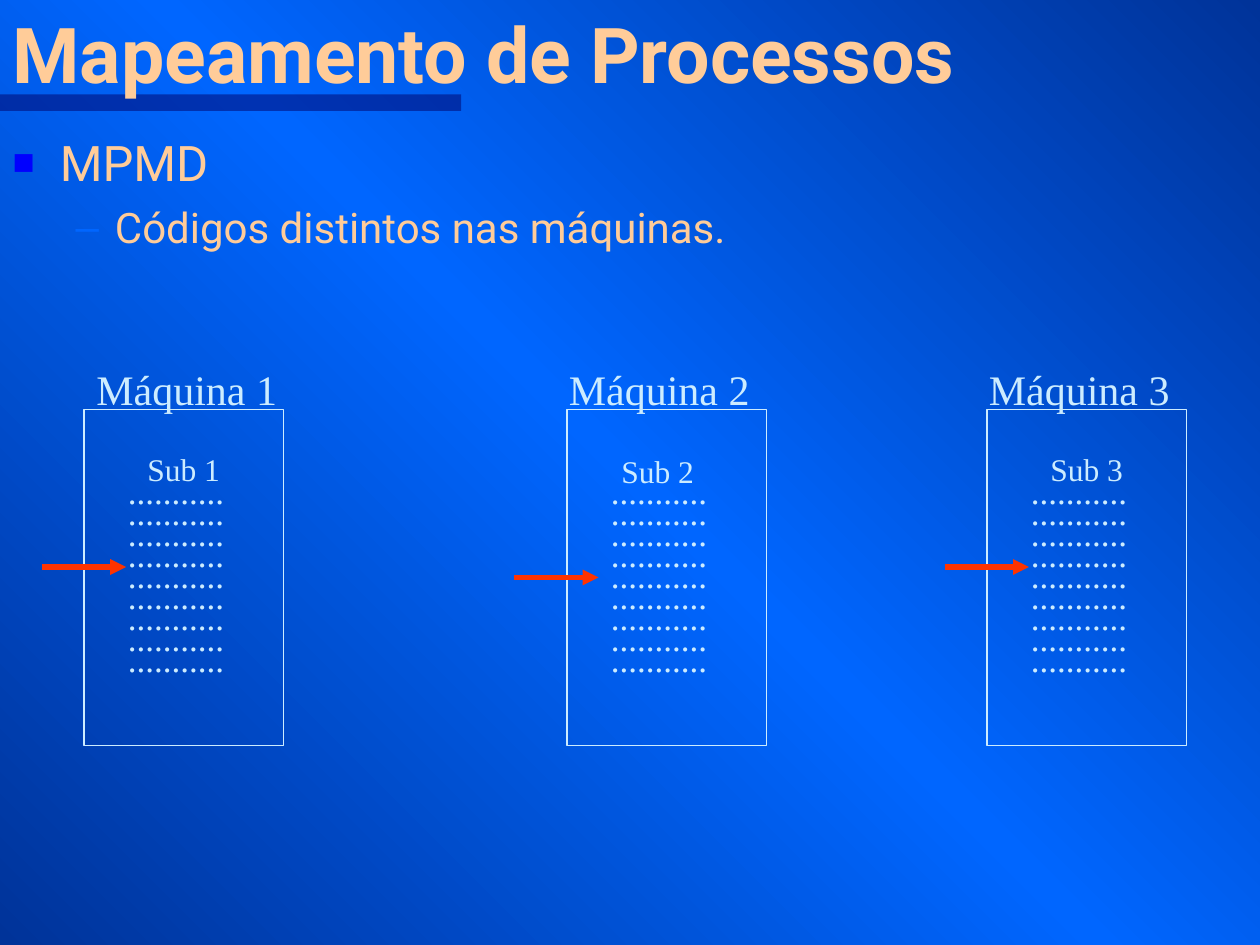
from copy import deepcopy
from pptx import Presentation
from pptx.dml.color import RGBColor
from pptx.enum.shapes import MSO_CONNECTOR, MSO_SHAPE
from pptx.enum.text import MSO_ANCHOR, MSO_AUTO_SIZE, PP_ALIGN
from pptx.oxml.ns import qn
from pptx.util import Pt
from lxml import etree

RECT = MSO_SHAPE.RECTANGLE
LINE = MSO_CONNECTOR.STRAIGHT
LOW, TOP = MSO_ANCHOR.BOTTOM, MSO_ANCHOR.TOP
GROW, FIXED = MSO_AUTO_SIZE.SHAPE_TO_FIT_TEXT, MSO_AUTO_SIZE.NONE
LEFT, MID = PP_ALIGN.LEFT, PP_ALIGN.CENTER

NAVY = RGBColor(0x00, 0x33, 0x99)
AZURE = RGBColor(0x00, 0x66, 0xFF)
BLUE = RGBColor(0x00, 0x00, 0xFF)
INK = RGBColor(0x00, 0x00, 0x66)
PEACH = RGBColor(0xFF, 0xCC, 0x99)
ICE = RGBColor(0xCC, 0xEC, 0xFF)
RED = RGBColor(0xFF, 0x33, 0x00)
SANS, SERIF = "Roboto", "Times New Roman"

TITLE = "Mapeamento de Processos"
ITEMS = [
    dict(text="MPMD", size=28, gap=0, left=27, hang=27,
         mark="■", color=BLUE, scale=75),
    dict(text="Códigos distintos nas máquinas.", size=24, gap=6, left=58.5,
         hang=22.5, mark="–", color=AZURE, scale=100),
]
HOSTS = [
    dict(name="Máquina 1", sub="Sub 1", x=48, name_x=48,
         sub_at=(48, 253.5, 114, 28.8), align=MID, arrow=(24, 324)),
    dict(name="Máquina 2", sub="Sub 2", x=324, name_x=318,
         sub_at=(348, 254.5, 114, 50.4), align=LEFT, arrow=(294, 330)),
    dict(name="Máquina 3", sub="Sub 3", x=564, name_x=558,
         sub_at=(564, 253.5, 114, 28.8), align=MID, arrow=(540, 324)),
]
CODE = ["..........."] * 9


def place(shape, *spot):
    shape.left, shape.top, shape.width, shape.height = map(Pt, spot)


def write(para, text, size, face, color, bold=False):
    run = para.add_run()
    run.text = text
    font = run.font
    font.size, font.name, font.bold = Pt(size), face, bold
    font.color.rgb = color


def add_text(spot, rows, size, align=LEFT, space=1.0):
    box = slide.shapes.add_textbox(*map(Pt, spot))
    frame = box.text_frame
    frame.word_wrap, frame.auto_size = True, GROW
    for i, row in enumerate(rows):
        para = frame.add_paragraph() if i else frame.paragraphs[0]
        para.alignment, para.line_spacing = align, space
        write(para, row, size, SERIF, ICE)


def add_mark(para, item):
    props = para._p.get_or_add_pPr()
    props.set("marL", str(Pt(item["left"])))
    props.set("indent", str(-Pt(item["hang"])))
    tint = etree.SubElement(props, qn("a:buClr"))
    etree.SubElement(tint, qn("a:srgbClr"), val=str(item["color"]))
    etree.SubElement(props, qn("a:buSzPct"), val=str(item["scale"] * 1000))
    etree.SubElement(props, qn("a:buChar"), char=item["mark"])


def add_rect(*spot):
    rect = slide.shapes.add_shape(RECT, *map(Pt, spot))
    rect.shadow.inherit = False
    return rect


def add_arrow(x, y):
    arrow = slide.shapes.add_connector(LINE, Pt(x), Pt(y), Pt(x + 48), Pt(y))
    arrow.line.color.rgb, arrow.line.width = RED, Pt(3)
    line = arrow.line._get_or_add_ln()
    etree.SubElement(line, qn("a:tailEnd"), type="triangle")
    etree.SubElement(arrow._element.spPr, qn("a:effectLst"))


deck = Presentation()
deck.slide_width, deck.slide_height = Pt(720), Pt(540)
slide = deck.slides.add_slide(deck.slide_layouts[1])

fill = slide.background.fill
fill.gradient()
fill.gradient_angle = 225
ramp = next(slide.element.iter(qn("a:gsLst")))
ramp.append(deepcopy(ramp[0]))
for stop, color, spot in zip(fill.gradient_stops, (NAVY, AZURE, NAVY), (0, 0.5, 1)):
    stop.color.rgb, stop.position = color, spot

bar = add_rect(0, 54, 263.5, 9.4)
bar.fill.solid()
bar.fill.fore_color.rgb = INK
bar.line.fill.background()
shade = next(bar._element.spPr.iter(qn("a:srgbClr")))
etree.SubElement(shade, qn("a:alpha"), val="50000")
slide.shapes._spTree.insert(2, bar._element)

title, body = slide.placeholders
place(title, 0, -6, 720, 66)
place(body, 0, 72, 720, 462)
for holder, anchor in ((title, LOW), (body, TOP)):
    frame = holder.text_frame
    frame.vertical_anchor, frame.auto_size = anchor, FIXED
    frame.word_wrap = True
head = title.text_frame.paragraphs[0]
head.alignment = LEFT
write(head, TITLE, 44, SANS, PEACH, True)

for level, item in enumerate(ITEMS):
    frame = body.text_frame
    para = frame.add_paragraph() if level else frame.paragraphs[0]
    para.level = level
    add_mark(para, item)
    para.space_before = Pt(item["gap"])
    write(para, item["text"], item["size"], SANS, PEACH)

for host in HOSTS:
    x = host["x"]
    frame = add_rect(x, 234, 114, 192)
    frame.fill.background()
    frame.line.color.rgb, frame.line.width = ICE, Pt(0.75)
    add_text((host["name_x"], 204, 126, 36), [host["name"]], 24)
    add_text(host["sub_at"], [host["sub"]], 18, host["align"])
    add_text((x + 18, 275, 84, 139.7), CODE, 20, space=0.5)
    add_arrow(*host["arrow"])

deck.save("out.pptx")
